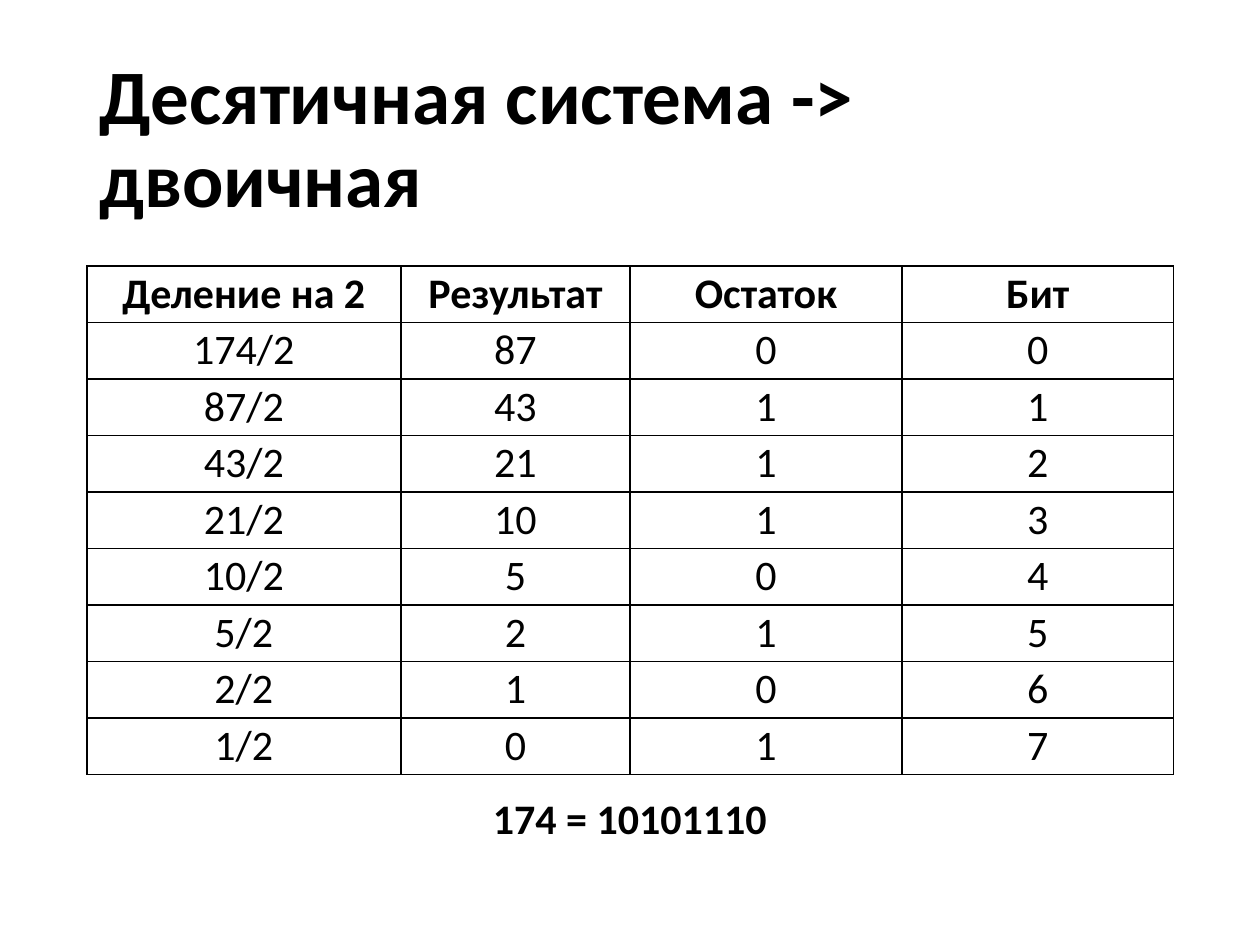
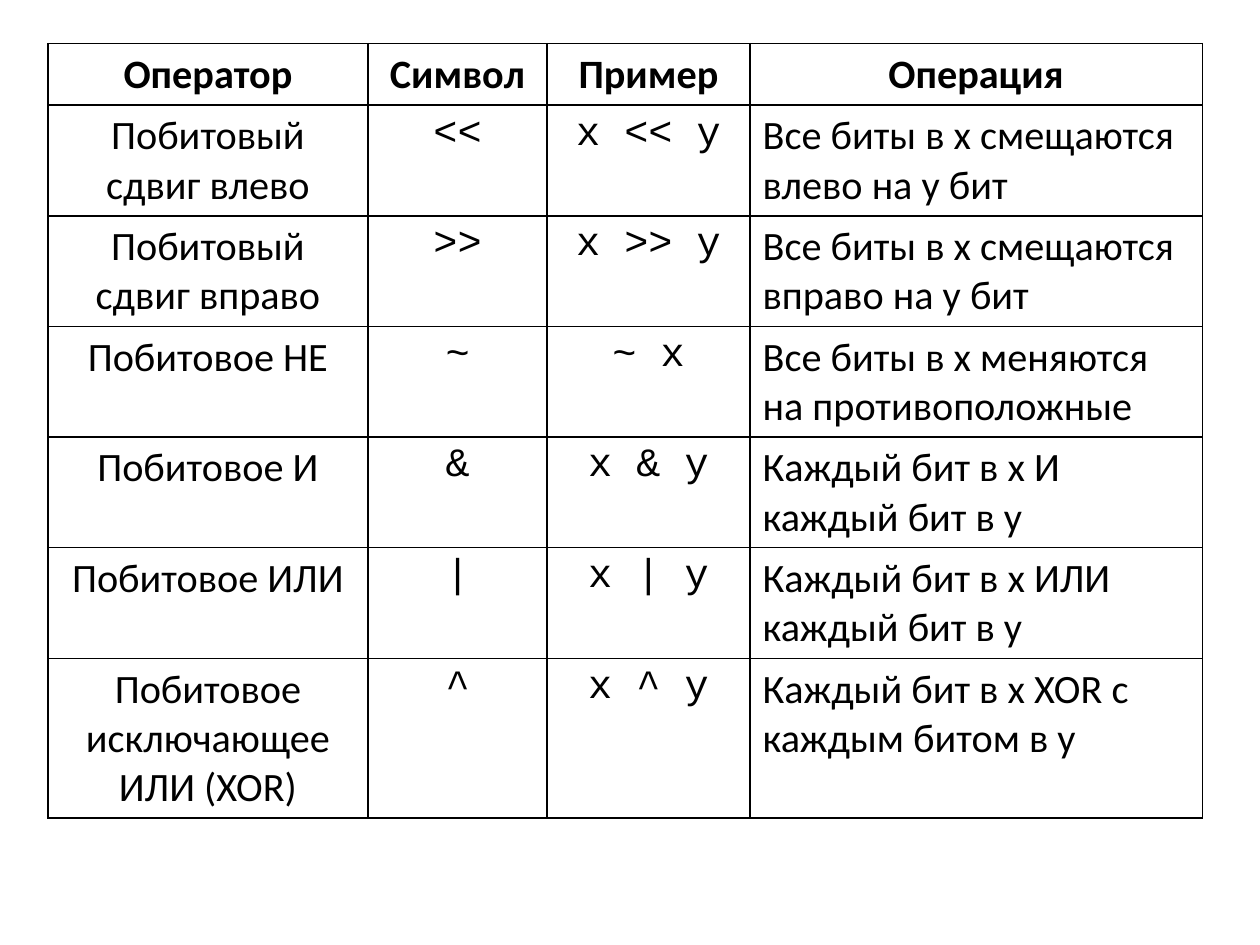
import lxml.etree
import pptx
import pptx.dml.color
import pptx.enum.shapes
import pptx.enum.text
import pptx.oxml.ns
import pptx.util
from pptx.util import Cm

BLACK = "000000"
WHITE = "FFFFFF"
CENTER = pptx.enum.text.PP_ALIGN.CENTER
LEFT = pptx.enum.text.PP_ALIGN.LEFT
MIDDLE = pptx.enum.text.MSO_ANCHOR.MIDDLE
TOP = pptx.enum.text.MSO_ANCHOR.TOP


def color(value):
    return pptx.dml.color.RGBColor.from_string(value)


class Deck:
    text_font = "Calibri"
    code_font = "Courier New"
    title_size = 44
    border_width = pptx.util.Pt(1)
    title_layout = 5
    blank_layout = 6

    def __init__(self):
        self.presentation = pptx.Presentation()
        self.presentation.slide_width = Cm(25.4)
        self.presentation.slide_height = Cm(19.05)
        self.slide = None

    def add_slide(self, layout):
        layouts = self.presentation.slide_layouts
        self.slide = self.presentation.slides.add_slide(layouts[layout])
        self.slide.background.fill.solid()
        self.slide.background.fill.fore_color.rgb = color(WHITE)

    def style_text(self, text_frame, text, size, bold=False, align=CENTER, font=text_font):
        text_frame.text = text
        paragraph = text_frame.paragraphs[0]
        paragraph.alignment = align
        for run in paragraph.runs:
            run.font.name = font
            run.font.size = pptx.util.Pt(size)
            run.font.bold = bold
            run.font.color.rgb = color(BLACK)

    def title(self, text, left, top, width, height):
        shape = self.slide.shapes.title
        shape.left, shape.top, shape.width, shape.height = left, top, width, height
        text_frame = shape.text_frame
        self.style_text(text_frame, text, self.title_size, True, LEFT)
        text_frame.paragraphs[0].line_spacing = 0.9
        text_frame.vertical_anchor = MIDDLE
        text_frame.word_wrap = True
        text_frame.auto_size = pptx.enum.text.MSO_AUTO_SIZE.NONE

    def box(self, text, left, top, width, height, size):
        shape = self.slide.shapes.add_shape(
            pptx.enum.shapes.MSO_SHAPE.RECTANGLE, left, top, width, height)
        shape.shadow.inherit = False
        shape.fill.solid()
        shape.fill.fore_color.rgb = color(WHITE)
        shape.line.fill.background()
        self.style_text(shape.text_frame, text, size, bold=True)
        shape.text_frame.vertical_anchor = MIDDLE
        shape.text_frame.word_wrap = True
        shape.text_frame.auto_size = pptx.enum.text.MSO_AUTO_SIZE.SHAPE_TO_FIT_TEXT

    def borders(self, cell):
        properties = cell._tc.get_or_add_tcPr()
        for index, side in enumerate(("lnL", "lnR", "lnT", "lnB")):
            line = lxml.etree.Element(pptx.oxml.ns.qn(f"a:{side}"), w=str(self.border_width))
            fill = lxml.etree.SubElement(line, pptx.oxml.ns.qn("a:solidFill"))
            lxml.etree.SubElement(fill, pptx.oxml.ns.qn("a:srgbClr"), val=BLACK)
            properties.insert(index, line)

    def table(self, rows, left, top, widths, heights, size,
              anchor=TOP, margin=None, code_columns=(), left_columns=()):
        table = self.slide.shapes.add_table(
            len(rows), len(widths), left, top, sum(widths), sum(heights)).table
        table.first_row = False
        table.horz_banding = False
        for column, width in zip(table.columns, widths):
            column.width = width
        for row, height in zip(table.rows, heights):
            row.height = height
        for row_index, row in enumerate(rows):
            header = row_index == 0
            for column_index, text in enumerate(row):
                cell = table.cell(row_index, column_index)
                code = column_index in code_columns and not header
                flush_left = column_index in left_columns and not header
                self.style_text(cell.text_frame, text, size, header,
                                LEFT if flush_left else CENTER,
                                self.code_font if code else self.text_font)
                cell.vertical_anchor = anchor
                if margin is not None:
                    cell.margin_left = cell.margin_right = margin
                    cell.margin_top = cell.margin_bottom = margin
                cell.fill.background()
                self.borders(cell)


def division_rows(number):
    rows = [("Деление на 2", "Результат", "Остаток", "Бит")]
    bit = 0
    while number:
        quotient, remainder = divmod(number, 2)
        rows.append((f"{number}/2", str(quotient), str(remainder), str(bit)))
        number = quotient
        bit += 1
    return rows


def conversion_slide(deck):
    left, width = Cm(1.75), Cm(21.9)
    number = 174
    rows = division_rows(number)
    deck.add_slide(deck.title_layout)
    deck.title("Десятичная система -> двоичная", left, Cm(1.01), width, Cm(3.68))
    deck.table(rows, left, Cm(5.36), [Cm(value) for value in (6.33, 4.62, 5.48, 5.48)],
               [Cm(1.14)] * len(rows), 24, anchor=MIDDLE, margin=Cm(0.05))
    deck.box(f"{number} = {number:b}", left, Cm(15.85), width, Cm(1.27), 24)


def operators_slide(deck):
    rows = [
        ("Оператор", "Символ", "Пример", "Операция"),
        ("Побитовый сдвиг влево", "<<", "x << y", "Все биты в x смещаются влево на y бит"),
        ("Побитовый сдвиг вправо", ">>", "x >> y", "Все биты в x смещаются вправо на y бит"),
        ("Побитовое НЕ", "~", "~ x", "Все биты в x меняются на противоположные"),
        ("Побитовое И", "&", "x & y", "Каждый бит в x И каждый бит в y"),
        ("Побитовое ИЛИ", "|", "x | y", "Каждый бит в x ИЛИ каждый бит в y"),
        ("Побитовое исключающее ИЛИ (XOR)", "^", "x ^ y",
         "Каждый бит в x XOR с каждым битом в y"),
    ]
    line_counts = (1, 2, 2, 2, 2, 2, 3)
    deck.add_slide(deck.blank_layout)
    deck.table(rows, Cm(0.97), Cm(0.88), [Cm(value) for value in (6.45, 3.61, 4.09, 9.12)],
               [Cm(0.25 + 0.99 * count) for count in line_counts], 23,
               code_columns=(1, 2), left_columns=(3,))


def main():
    deck = Deck()
    conversion_slide(deck)
    operators_slide(deck)
    deck.presentation.save("out.pptx")


if __name__ == "__main__":
    main()
